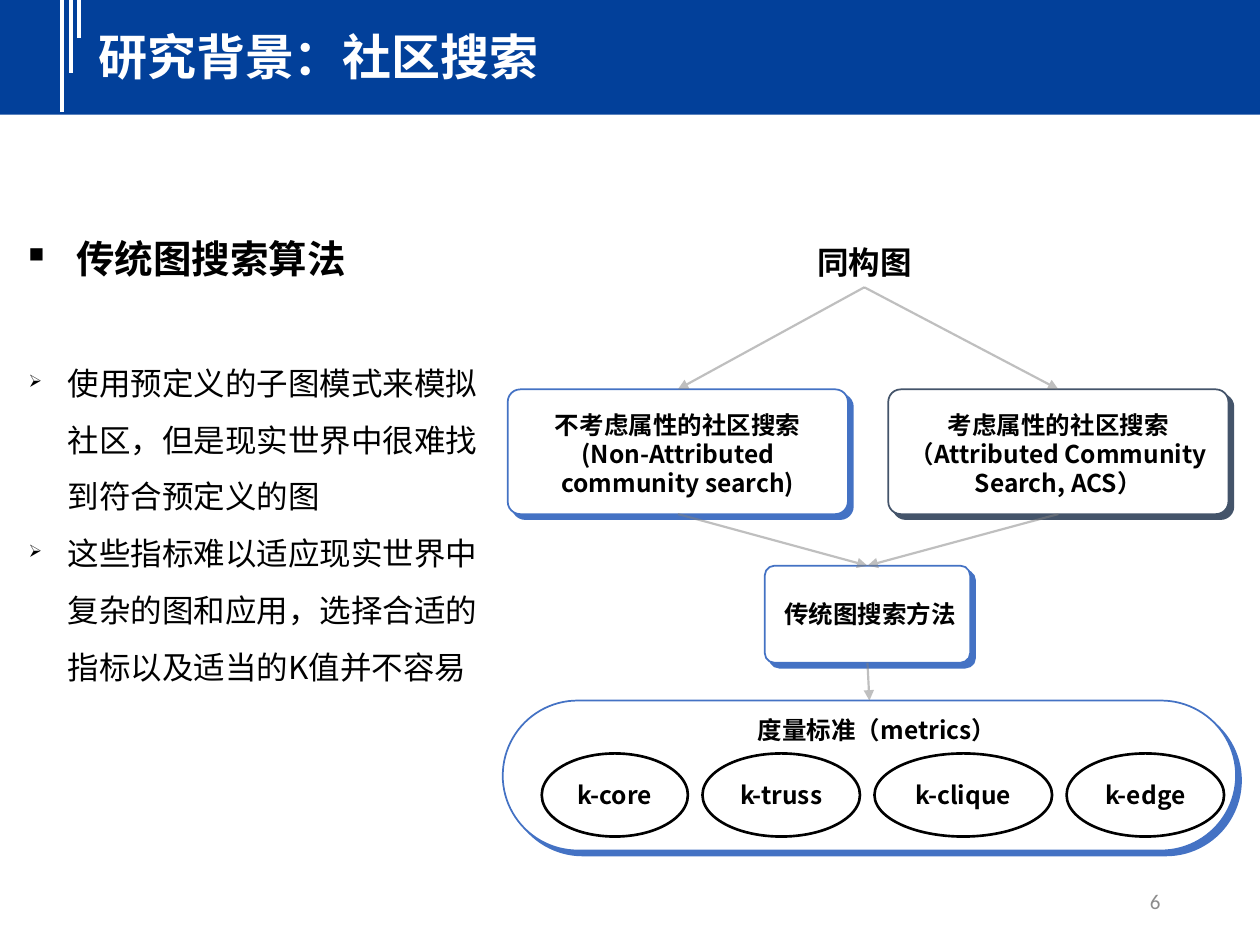
from lxml import etree
from pptx import Presentation
from pptx import util as u
from pptx.dml.color import RGBColor
from pptx.enum import shapes, text
from pptx.oxml import parse_xml
from pptx.oxml.ns import nsdecls, qn

HUES = {"band": "02409A", "white": "FFFFFF", "ink": "000000", "page": "8C8C8C",
        "blue": "4472C4", "slate": "44546A", "gray": "808080"}
FACE = "Noto Sans CJK SC"
CELL = u.Inches(0.1)
KIND = shapes.MSO_SHAPE
SIDE = text.PP_ALIGN
ROW = text.MSO_ANCHOR


def hue(name):
    """Return the named colour."""
    return RGBColor.from_string(HUES[name])


def grid(*cells):
    """Turn columns and rows of the slide grid into lengths."""
    return [round(cell * CELL) for cell in cells]


def within(box, x, y, w, h):
    """Place a part by its offset from the corner of a box."""
    return box[0] + x, box[1] + y, w, h


def write(shape, lines, size, color="ink", bold=True, side=SIDE.CENTER, row=ROW.BOTTOM, face=FACE):
    """Fill a shape with formatted paragraphs."""
    frame = shape.text_frame
    frame.text = "\n".join(lines)
    frame.word_wrap = True
    frame.auto_size = text.MSO_AUTO_SIZE.NONE
    frame.vertical_anchor = row
    for para in frame.paragraphs:
        para.alignment = side
        for run in para.runs:
            font = run.font
            font.name, font.size, font.bold = face, u.Pt(size), bold
            font.color.rgb = hue(color)
            etree.SubElement(font._element, qn("a:ea"), typeface=face)


def label(slide, box, lines, size, **style):
    """Add a text box."""
    shape = slide.shapes.add_textbox(*grid(*box))
    write(shape, lines, size, **style)
    return shape


def bullet(shape, mark, indent):
    """Give each paragraph a hanging bullet and wide line spacing."""
    for para in shape.text_frame.paragraphs:
        props = para._p.get_or_add_pPr()
        step = u.Inches(indent)
        props.set("marL", str(step))
        props.set("indent", str(-step))
        etree.SubElement(props, qn("a:buSzPct"), val="55000")
        etree.SubElement(props, qn("a:buChar"), char=mark)
        para.line_spacing = 1.5


def block(slide, kind, box, fill, edge=None, width=1):
    """Add a filled shape without a shadow."""
    shape = slide.shapes.add_shape(kind, *grid(*box))
    shape.shadow.inherit = False
    shape.fill.solid()
    shape.fill.fore_color.rgb = hue(fill)
    if edge:
        shape.line.color.rgb = hue(edge)
        shape.line.width = u.Pt(width)
    else:
        shape.line.fill.background()
    return shape


def card(slide, box, edge, curve=0.1):
    """Add a rounded card with a hard shadow in its edge colour."""
    shape = block(slide, KIND.ROUNDED_RECTANGLE, box, "white", edge)
    shape.adjustments[0] = curve
    glow = shape._element.spPr.find(qn("a:effectLst"))
    glow.append(parse_xml(
        f'<a:outerShdw {nsdecls("a")} blurRad="0" dist="{u.Pt(4)}" dir="2700000" algn="tl" '
        f'rotWithShape="0"><a:srgbClr val="{HUES[edge]}"/></a:outerShdw>'))
    return shape


def rule(slide, ends, color, width):
    """Add a straight line without a shadow."""
    line = slide.shapes.add_connector(shapes.MSO_CONNECTOR.STRAIGHT, *grid(*ends))
    line.line.color.rgb = hue(color)
    line.line.width = u.Pt(width)
    etree.SubElement(line._element.spPr, qn("a:effectLst"))
    return line


def arrow(slide, start, end):
    """Join the bottom of one shape to the top of another."""
    line = rule(slide, (0, 0, 1, 1), "gray", 1.25)
    line.begin_connect(start, 2)
    line.end_connect(end, 0)
    pen = line.line._get_or_add_ln()
    etree.SubElement(pen.find(".//" + qn("a:srgbClr")), qn("a:alpha"), val="50000")
    etree.SubElement(pen, qn("a:tailEnd"), type="triangle")


def header(slide, box):
    """Draw the title band with its three stripes."""
    block(slide, KIND.RECTANGLE, box, "band")
    x, y = box[:2]
    for i, drop in enumerate((9.2, 6.1, 3.3)):
        col = x + 4.9 + 0.7 * i
        rule(slide, (col, y, col, y + drop), "white", 2.25)
    title = slide.shapes.title
    slide.shapes._spTree.append(title._element)
    spot = within(box, 6.8, 1.9, 93.5, 5.7)
    title.left, title.top, title.width, title.height = grid(*spot)
    write(title, ["研究背景：社区搜索"], 28, color="white", side=SIDE.LEFT, row=ROW.TOP)


def notes(slide, box):
    """Write the heading and the two points on the left."""
    style = {"side": SIDE.LEFT, "row": ROW.TOP}
    head = label(slide, within(box, 0, 0, 98.4, 5.9), ["传统图搜索算法"], 22, **style)
    bullet(head, "■", 0.38)
    points = ["使用预定义的子图模式来模拟社区，但是现实世界中很难找到符合预定义的图",
              "这些指标难以适应现实世界中复杂的图和应用，选择合适的指标以及适当的K值并不容易"]
    body = label(slide, within(box, 0, 10.6, box[2], 27.7), points, 18, bold=False, **style)
    bullet(body, "➢", 0.31)


def metrics(slide, box):
    """Draw the rounded panel with a row of metric ovals."""
    panel = card(slide, box, "blue", 0.5)
    x, gap = 3.1, 1.15
    for name, wide in (("k-core", 11.6), ("k-truss", 12.5), ("k-clique", 14.1), ("k-edge", 12.5)):
        oval = block(slide, KIND.OVAL, within(box, x, 4.2, wide, 6.6), "white", "ink", 1.5)
        write(oval, [name], 14, row=ROW.MIDDLE)
        x += wide + gap
    label(slide, within(box, 16.2, 0.6, 27, 3.4), ["度量标准（metrics）"], 14)
    return panel


def chart(slide, box):
    """Draw the flow from the graph to the metrics."""
    root = label(slide, within(box, 20.6, 0, 16.2, 4), ["同构图"], 18)
    panel = metrics(slide, within(box, 0, 36.8, box[2], 11.9))
    tasks = ((0.4, "blue", ["不考虑属性的社区搜索", "(Non-Attributed community search)"]),
             (30.6, "slate", ["考虑属性的社区搜索（Attributed Community Search, ACS）"]))
    cards = []
    for x, edge, lines in tasks:
        cards.append(card(slide, within(box, x, 12.1, 27, 9.9), edge))
        label(slide, within(box, x, 13.1, 27, 8.1), lines, 14)
    method = card(slide, within(box, 20.8, 26.1, 16.3, 7.7), "blue")
    label(slide, within(box, 17.6, 28.2, 23.1, 3.4), ["传统图搜索方法"], 14)
    for task in cards:
        arrow(slide, root, task)
        arrow(slide, task, method)
    arrow(slide, method, panel)


def main():
    """Build the slide."""
    deck = Presentation()
    deck.slide_width, deck.slide_height = grid(100, 75)
    slide = deck.slides.add_slide(deck.slide_layouts[5])
    header(slide, (0, -0.3, 100, 9.4))
    notes(slide, (1.3, 16.3, 39, 38.3))
    chart(slide, (39.9, 18.8, 58.2, 48.7))
    label(slide, (70.6, 69.5, 22.5, 4), ["6"], 12, color="page", bold=False,
          side=SIDE.RIGHT, row=ROW.MIDDLE, face="Calibri")
    deck.save("out.pptx")


if __name__ == "__main__":
    main()
